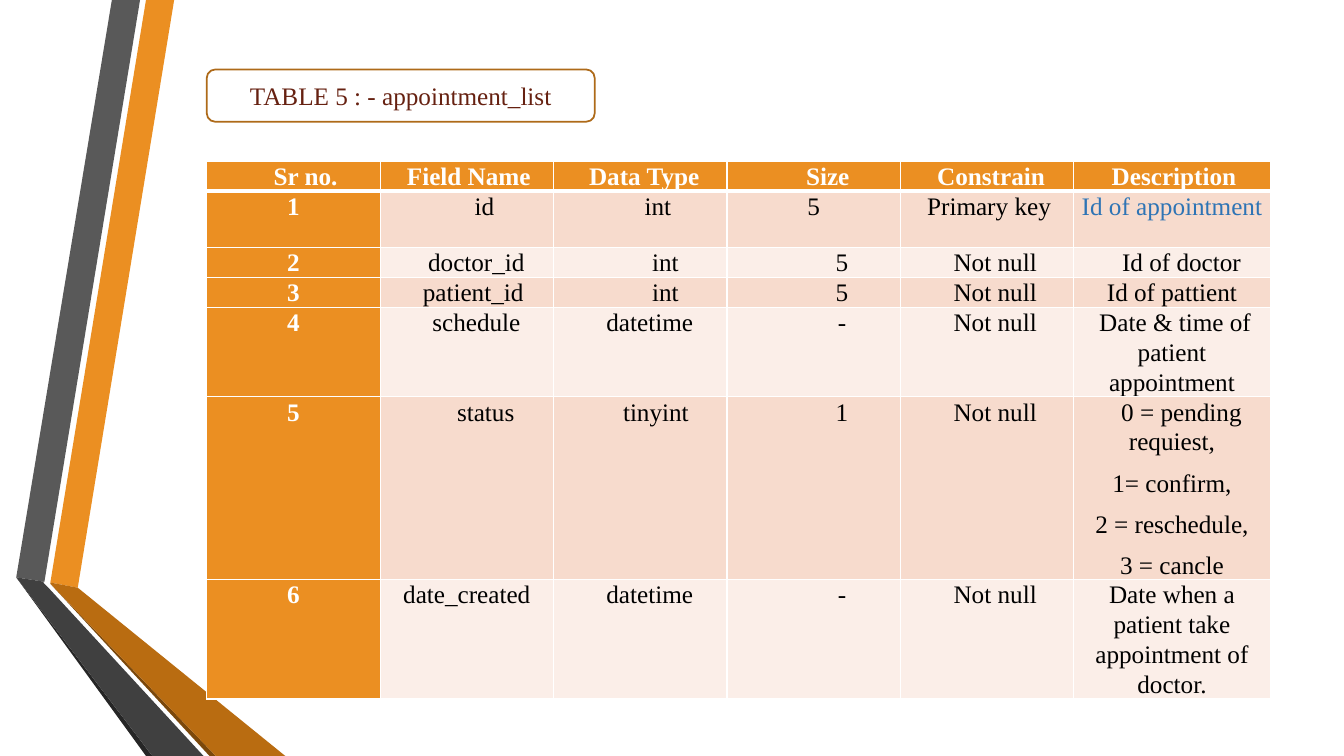
from dataclasses import dataclass

import lxml.etree
import pptx
import pptx.dml.color
import pptx.enum.shapes
import pptx.enum.text
import pptx.oxml.ns
import pptx.util

Cm = pptx.util.Cm
Pt = pptx.util.Pt


@dataclass(frozen=True)
class Theme:
    font: str = "Times New Roman"
    size: int = 18
    orange: str = "EB8F22"
    white: str = "FFFFFF"
    black: str = "000000"
    blue: str = "2E74B5"
    title: str = "662111"
    frame: str = "AE6A19"
    bands: tuple = ("F7DBCD", "FBEEE8")
    grid_width: float = 1
    header_rule_width: float = 3


THEME = Theme()

# Ribbons at the left edge: colour and corner points in cm
RIBBONS = [
    ("EB8F22", [(1.27, 14.68), (1.96, 14.81), (4.39, 0), (3.68, 0)]),
    ("595959", [(3.53, 0), (2.82, 0), (0.41, 14.55), (1.12, 14.66)]),
    ("262626", [(0.41, 14.55), (3.68, 19.05), (3.84, 19.05)]),
    ("7B480B", [(1.27, 14.71), (5.28, 19.05), (5.44, 19.05)]),
    ("B96C11", [(1.27, 14.71), (5.44, 19.05), (7.19, 19.05), (1.96, 14.81), (1.27, 14.68)]),
    ("404040", [(5.13, 19.05), (1.22, 14.81), (1.09, 14.68), (1.12, 14.66),
                (0.41, 14.55), (3.84, 19.05)]),
]

TITLE_BOX = (5.21, 1.75, 9.78, 1.32)
TABLE_LEFT, TABLE_TOP = 5.21, 4.06
COLUMN_WIDTHS = [4.37] * 5 + [4.95]
ROW_HEIGHTS = [0.69, 1.42, 0.69, 0.69, 2.13, 4.29, 2.87]

# Cell text, with the left indent of each cell in cm beside it
FIELDS = [
    ["Sr no.", "Field Name", "Data Type", "Size", "Constrain", "Description"],
    ["1", "id", "int", "5", "Primary key", "Id of appointment"],
    ["2", "doctor_id", "int", "5", "Not null", "Id of doctor"],
    ["3", "patient_id", "int", "5", "Not null", "Id of pattient"],
    ["4", "schedule", "datetime", "-", "Not null", "Date & time of patient appointment"],
    ["5", "status", "tinyint", "1", "Not null",
     "0 = pending requiest,\n1= confirm,\n2 = reschedule,\n3 = cancle"],
    ["6", "date_created", "datetime", "-", "Not null",
     "Date when a patient take appointment of doctor."],
]
INDENTS = [
    [0.61, 0.1, 0.2, 0.71, 0.2, 0.1],
    [0, 0.89, 0.89, 0, 0.1, 0],
    [0, 0.48, 1.27, 1.43, 0.41, 0.48],
    [0, 0.32, 1.27, 1.43, 0.41, 0],
    [0, 0.48, 0.48, 1.43, 0.41, 0],
    [0, 0.95, 0.79, 1.43, 0.41, 0],
    [0, 0, 0.48, 1.43, 0.41, 0],
]
# Indent of the first line alone, for descriptions that wrap
FIRST_LINE_INDENTS = {(4, 5): 0.16, (5, 5): 0.48}


def rgb(value):
    return pptx.dml.color.RGBColor.from_string(value)


def write_text(text_frame, text, color, bold=False, indent=0, first_line=0,
               line_spacing=None, space_after=0):
    """Fill a text frame with one centred paragraph per line of text."""
    text_frame.word_wrap = True
    for number, line in enumerate(text.split("\n")):
        paragraph = text_frame.paragraphs[0] if number == 0 else text_frame.add_paragraph()
        paragraph.alignment = pptx.enum.text.PP_ALIGN.CENTER
        paragraph.space_before = Pt(0)
        paragraph.space_after = Pt(space_after)
        if line_spacing:
            paragraph.line_spacing = line_spacing
        properties = paragraph._p.get_or_add_pPr()
        properties.set("marL", str(Cm(indent)))
        properties.set("indent", str(Cm(first_line if number == 0 else 0)))
        run = paragraph.add_run()
        run.text = line
        run.font.name = THEME.font
        run.font.size = Pt(THEME.size)
        run.font.bold = bold
        run.font.color.rgb = rgb(color)


def add_ribbon(slide, color, points):
    corners = [(Cm(x), Cm(y)) for x, y in points]
    builder = slide.shapes.build_freeform(*corners[0])
    builder.add_line_segments(corners[1:], close=True)
    shape = builder.convert_to_shape()
    shape.shadow.inherit = False
    shape.fill.solid()
    shape.fill.fore_color.rgb = rgb(color)
    shape.line.fill.background()


def add_framed_title(slide, text):
    box = [Cm(length) for length in TITLE_BOX]
    frame = slide.shapes.add_shape(pptx.enum.shapes.MSO_SHAPE.ROUNDED_RECTANGLE, *box)
    frame.shadow.inherit = False
    frame.fill.solid()
    frame.fill.fore_color.rgb = rgb(THEME.white)
    frame.line.color.rgb = rgb(THEME.frame)
    frame.line.width = Pt(1.25)

    # The title placeholder lies over its frame
    title = slide.shapes.title
    title.left, title.top, title.width, title.height = box
    slide.shapes._spTree.append(title._element)
    title.text_frame.auto_size = pptx.enum.text.MSO_AUTO_SIZE.NONE
    title.text_frame.vertical_anchor = pptx.enum.text.MSO_ANCHOR.MIDDLE
    write_text(title.text_frame, text, THEME.title)


def set_borders(cell, top, bottom):
    properties = cell._tc.get_or_add_tcPr()
    widths = {"L": THEME.grid_width, "R": THEME.grid_width, "T": top, "B": bottom}
    for side, width in widths.items():
        line = lxml.etree.SubElement(properties, pptx.oxml.ns.qn(f"a:ln{side}"), w=str(Pt(width)))
        fill = lxml.etree.SubElement(line, pptx.oxml.ns.qn("a:solidFill"))
        lxml.etree.SubElement(fill, pptx.oxml.ns.qn("a:srgbClr"), val=THEME.white)


def format_cell(cell, row, column):
    is_heading = row == 0 or column == 0
    set_borders(cell,
                top=THEME.header_rule_width if row == 1 else THEME.grid_width,
                bottom=THEME.header_rule_width if row == 0 else THEME.grid_width)
    cell.fill.solid()
    cell.fill.fore_color.rgb = rgb(THEME.orange if is_heading else THEME.bands[(row - 1) % 2])
    cell.margin_left = cell.margin_right = Cm(0.13)
    cell.margin_top = cell.margin_bottom = 0
    color = THEME.white if is_heading else THEME.black
    if (row, column) == (1, 5):
        color = THEME.blue
    write_text(cell.text_frame, FIELDS[row][column], color, bold=is_heading,
               indent=INDENTS[row][column],
               first_line=FIRST_LINE_INDENTS.get((row, column), 0),
               line_spacing=1.07, space_after=8)


def add_field_table(slide):
    table = slide.shapes.add_table(
        len(ROW_HEIGHTS), len(COLUMN_WIDTHS), Cm(TABLE_LEFT), Cm(TABLE_TOP),
        Cm(sum(COLUMN_WIDTHS)), Cm(sum(ROW_HEIGHTS))).table
    table.first_col = True
    for column, width in zip(table.columns, COLUMN_WIDTHS):
        column.width = Cm(width)
    for row, height in enumerate(ROW_HEIGHTS):
        table.rows[row].height = Cm(height)
        for column in range(len(COLUMN_WIDTHS)):
            format_cell(table.cell(row, column), row, column)


def main():
    presentation = pptx.Presentation()
    presentation.slide_width = Cm(33.87)
    presentation.slide_height = Cm(19.05)
    slide = presentation.slides.add_slide(presentation.slide_layouts[5])
    for color, points in RIBBONS:
        add_ribbon(slide, color, points)
    add_framed_title(slide, "TABLE 5 : - appointment_list")
    add_field_table(slide)
    presentation.save("out.pptx")


if __name__ == "__main__":
    main()
